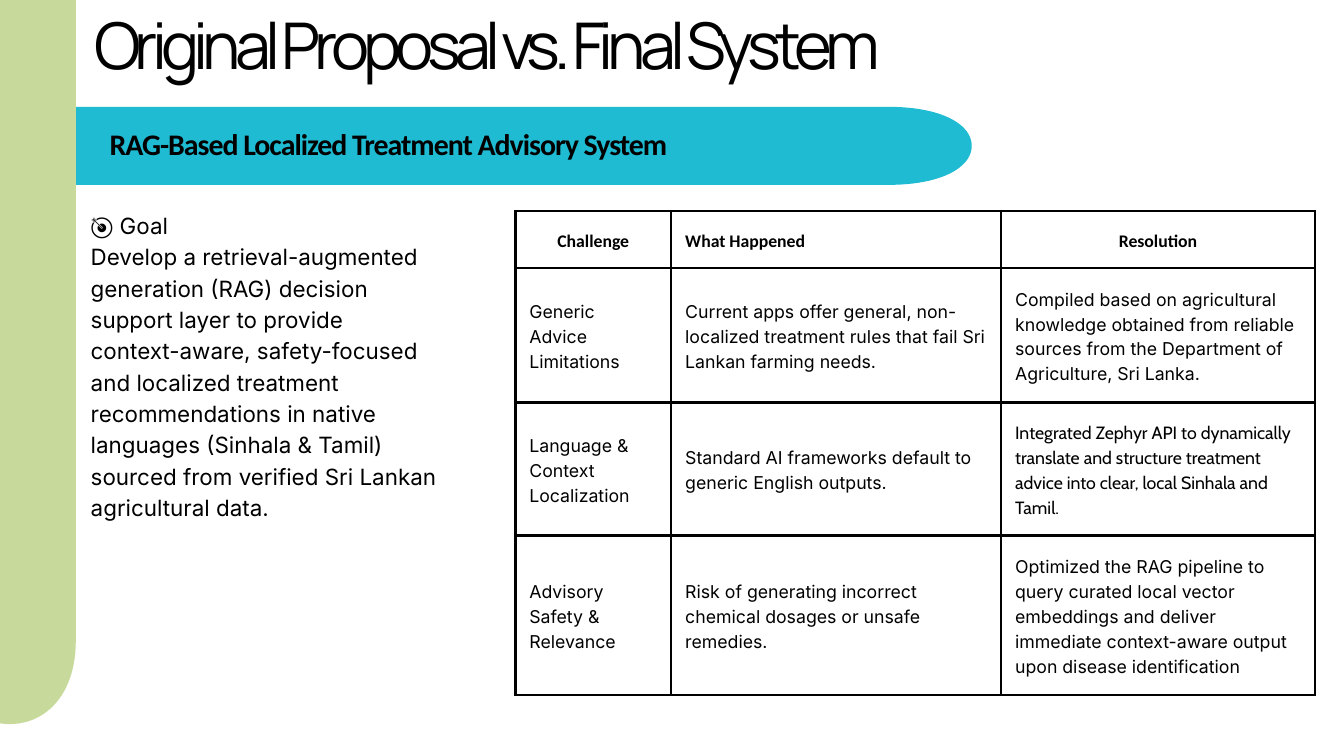
from pptx import Presentation
from pptx.dml.color import RGBColor
from pptx.enum.text import MSO_ANCHOR, PP_ALIGN
from pptx.oxml import parse_xml
from pptx.oxml.ns import nsdecls, qn
from pptx.util import Cm, Pt

COLORS = {"ink": "000000", "banner": "1FBBD2", "side": "C7D99B"}

# left, top, width, height (cm), rotation, colour
TABS = [
    (2.24, 4.04, 34.49, 2.95, 0, "banner"),
    (-16.13, 8.38, 32.99, 5.0, 90, "side"),
]

# box (cm), paragraphs, font, size, line spacing, letter spacing, bold
TEXTS = [
    ((3.56, 1.09, 34.54, 4.42), ["Original Proposal vs. Final System"],
     "Manrope", 69, 57.3, -6.3, False),
    ((4.14, 4.7, 28.98, 1.4), ["RAG-Based Localized Treatment Advisory System"],
     "Calibri", 32, 39.4, -1.1, True),
    ((3.43, 7.85, 13.11, 11.61),
     ["🎯 Goal",
      "Develop a retrieval-augmented generation (RAG) decision support layer to "
      "provide context-aware, safety-focused and localized treatment "
      "recommendations in native languages (Sinhala & Tamil) sourced from "
      "verified Sri Lankan agricultural data."],
     "Inter", 24, 33.6, 0, False),
]

ROWS = [
    ("Challenge", "What Happened", "Resolution"),
    ("Generic Advice Limitations",
     "Current apps offer general, non-localized treatment rules that fail Sri "
     "Lankan farming needs.",
     "Compiled based on agricultural knowledge obtained from reliable sources "
     "from the Department of Agriculture, Sri Lanka."),
    ("Language & Context Localization",
     "Standard AI frameworks default to generic English outputs.",
     "Integrated Zephyr API to dynamically translate and structure treatment "
     "advice into clear, local Sinhala and Tamil."),
    ("Advisory Safety & Relevance",
     "Risk of generating incorrect chemical dosages or unsafe remedies.",
     "Optimized the RAG pipeline to query curated local vector embeddings and "
     "deliver immediate context-aware output upon disease identification"),
]
TABLE_AT = (19.48, 7.98)
COL_WIDTHS = [5.89, 12.47, 11.86]
ROW_HEIGHTS = [2.16, 5.08, 5.03, 6.02]
CELL_FONTS = {(2, 2): "Cabin"}


def rgb(name):
    return RGBColor.from_string(COLORS[name])


def style(p, font, size, line, spacing=0, bold=False):
    p.line_spacing = Pt(line)
    f = p.font
    f.name, f.size, f.bold = font, Pt(size), bold
    f.color.rgb = rgb("ink")
    if spacing:
        p._p.pPr.find(qn("a:defRPr")).set("spc", str(round(spacing * 100)))


def add_tab(s, left, top, width, height, rotation, color, corner=0.13, steps=24):
    """Bar with small cut corners on the left and a blunt round end on the right."""
    half, bulge = height / 2, 3.15
    curve = []
    for i in range(steps + 1):
        t = i / steps
        u = 1 - t
        x = 3 * u * u * t * 0.64 + 3 * u * t * t + t ** 3
        y = 3 * u * t * t * 0.45 + t ** 3
        curve.append((width - bulge + bulge * x, half * y))
    upper = [(0, corner), (corner, 0)] + curve
    lower = [(x, height - y) for x, y in reversed(upper)]
    points = [(Cm(left + x), Cm(top + y)) for x, y in upper + lower]
    builder = s.shapes.build_freeform(*points[0])
    builder.add_line_segments(points[1:], close=True)
    sp = builder.convert_to_shape()
    sp.rotation = rotation
    sp.shadow.inherit = False
    sp.fill.solid()
    sp.fill.fore_color.rgb = rgb(color)
    sp.line.fill.background()


def add_text(s, box, paragraphs, *look):
    tf = s.shapes.add_textbox(*map(Cm, box)).text_frame
    tf.word_wrap = True
    tf.margin_left = tf.margin_right = tf.margin_top = tf.margin_bottom = 0
    tf.text = "\n".join(paragraphs)
    for p in tf.paragraphs:
        style(p, *look)


def set_borders(cell, width=3):
    tcPr = cell._tc.get_or_add_tcPr()
    for i, side in enumerate(("lnL", "lnR", "lnT", "lnB")):
        tcPr.insert(i, parse_xml(
            f'<a:{side} {nsdecls("a")} w="{Pt(width)}"><a:solidFill>'
            f'<a:srgbClr val="{COLORS["ink"]}"/></a:solidFill></a:{side}>'))


def add_grid(s):
    size = sum(COL_WIDTHS), sum(ROW_HEIGHTS)
    table = s.shapes.add_table(len(ROWS), len(COL_WIDTHS),
                               *map(Cm, TABLE_AT + size)).table
    for col, width in zip(table.columns, COL_WIDTHS):
        col.width = Cm(width)
    for r, (row, height) in enumerate(zip(ROWS, ROW_HEIGHTS)):
        table.rows[r].height = Cm(height)
        for c, text in enumerate(row):
            cell = table.cell(r, c)
            cell.text = text
            cell.fill.background()
            cell.vertical_anchor = MSO_ANCHOR.MIDDLE
            cell.margin_left = cell.margin_right = Cm(0.53)
            cell.margin_top = cell.margin_bottom = Cm(0.53)
            p = cell.text_frame.paragraphs[0]
            header = r == 0
            p.alignment = PP_ALIGN.CENTER if header and c != 1 else PP_ALIGN.LEFT
            font = "Calibri" if header else CELL_FONTS.get((r, c), "Inter")
            style(p, font, 19, 26.6, bold=header)
            set_borders(cell)


def main():
    prs = Presentation()
    prs.slide_width, prs.slide_height = Cm(50.8), Cm(28.58)
    s = prs.slides.add_slide(prs.slide_layouts[6])
    for tab in TABS:
        add_tab(s, *tab)
    for text in TEXTS:
        add_text(s, *text)
    add_grid(s)
    prs.save("out.pptx")


if __name__ == "__main__":
    main()
